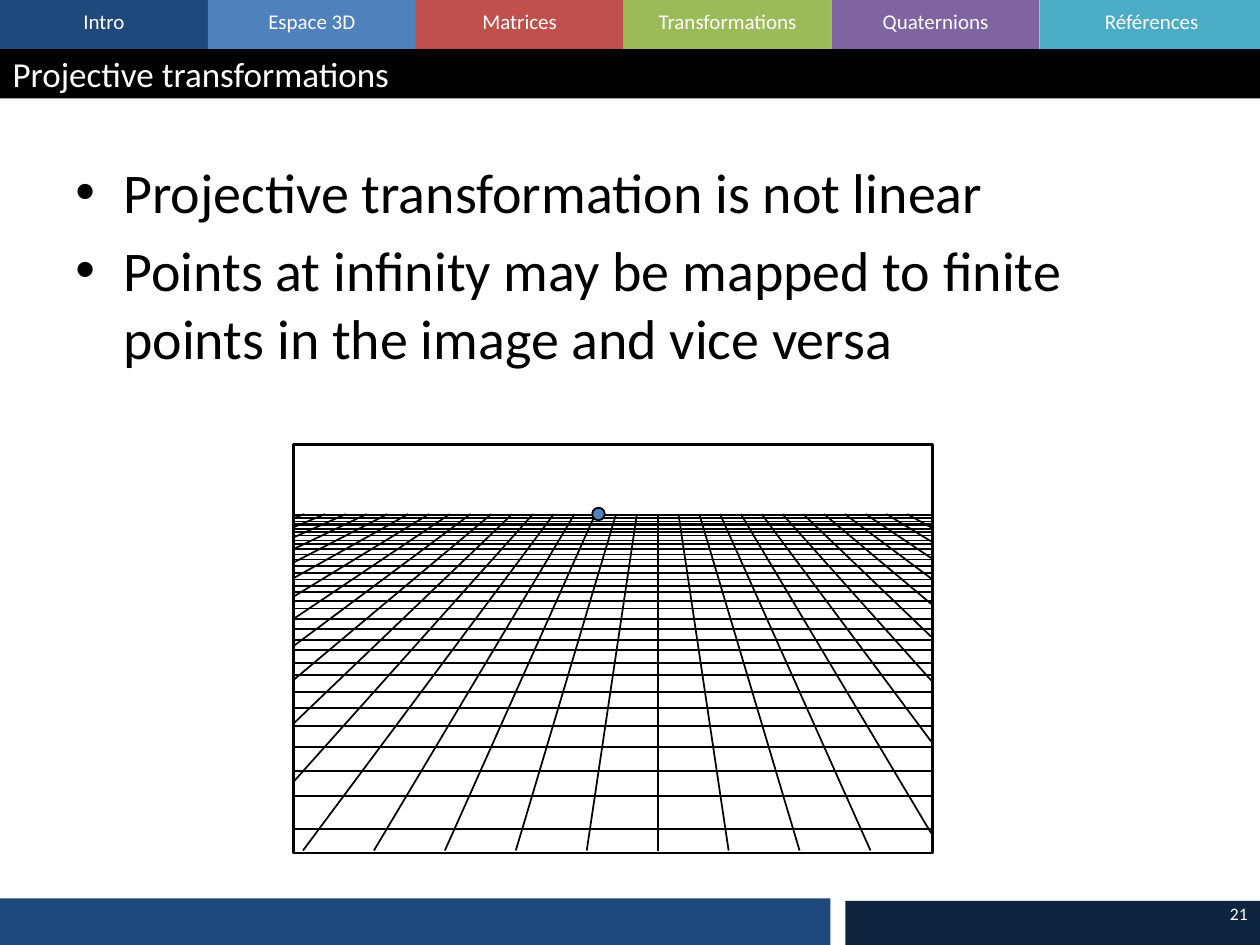
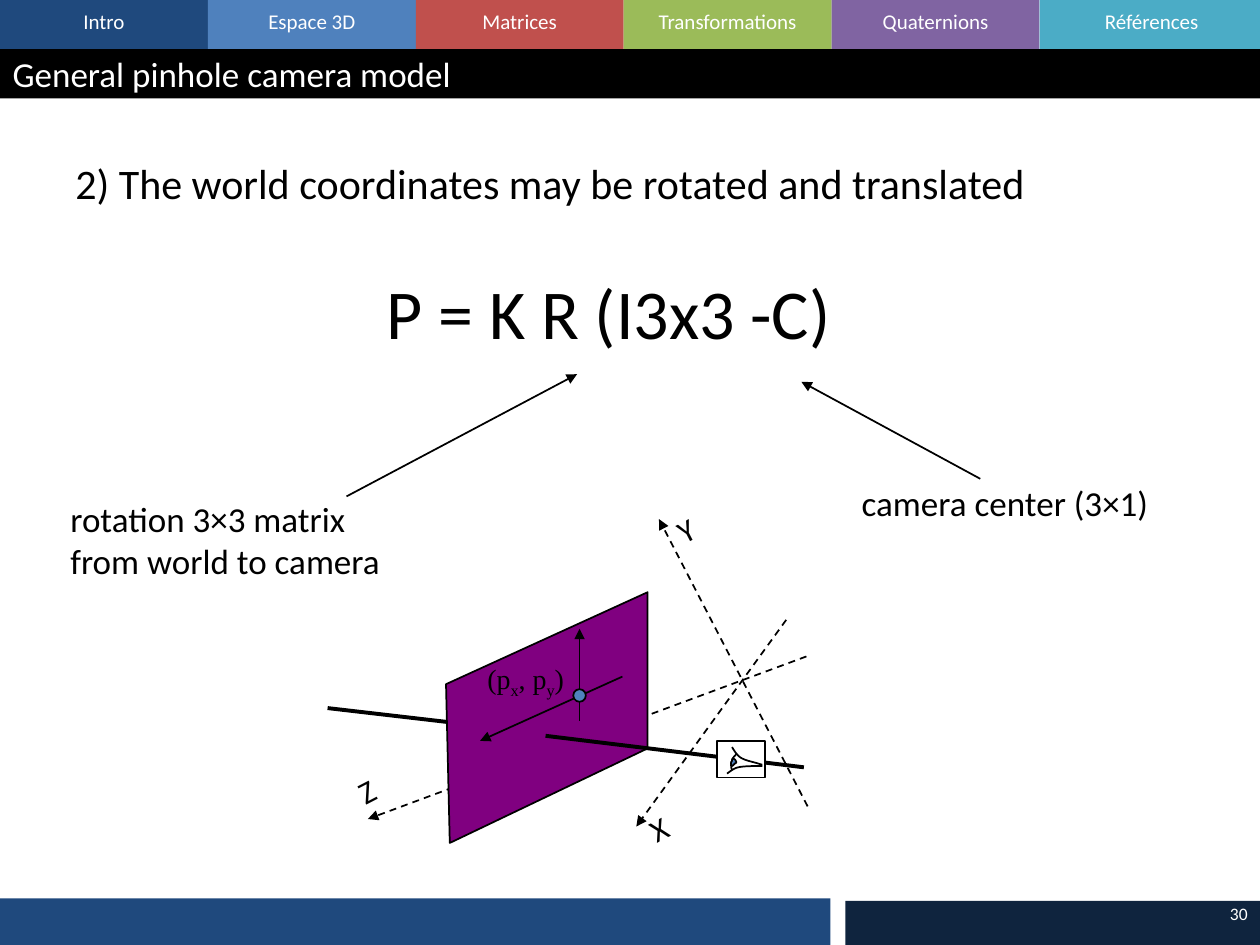
from dataclasses import dataclass
from lxml import etree
from pptx import Presentation
from pptx import util as u
from pptx.dml import color
from pptx.enum import dml, shapes, text
from pptx.oxml import ns


@dataclass(frozen=True)
class Theme:
    navy: str = "1F497D"
    blue: str = "4F81BD"
    red: str = "C0504D"
    green: str = "9BBB59"
    violet: str = "8064A2"
    teal: str = "4BACC6"
    deep: str = "0F243E"
    plum: str = "800080"
    black: str = "000000"
    white: str = "FFFFFF"
    sans: str = "Calibri"
    serif: str = "Times New Roman"
    tiny: int = 10
    tab: int = 12
    small: int = 16
    axis: int = 18
    label: int = 20
    body: int = 24
    large: int = 32
    math: int = 40
    thin: float = 1
    frame: float = 1.5
    thick: float = 2.25


def rgb(code):
    return color.RGBColor.from_string(code)


def box(*sides):
    return [u.Inches(side) for side in sides]


def add(parent, tag, **attrs):
    return etree.SubElement(parent, ns.qn(tag), attrs)


def curve(start, *parts, steps=8):
    points = [start]
    for a, b, end in parts:
        start = points[-1]
        for step in range(1, steps + 1):
            t = step / steps
            s = 1 - t
            points.append(tuple(
                s**3 * p + 3 * s * s * t * q + 3 * s * t * t * r + t**3 * e
                for p, q, r, e in zip(start, a, b, end)))
    return points


class Deck:
    def __init__(self, theme):
        self.theme = theme
        self.show = Presentation()
        self.show.slide_width, self.show.slide_height = box(10, 7.5)
        self.slide = None

    def page(self, title, number):
        th = self.theme
        self.slide = self.show.slides.add_slide(self.show.slide_layouts[5])
        tabs = (("Intro", th.navy), ("Espace 3D", th.blue), ("Matrices", th.red),
                ("Transformations", th.green), ("Quaternions", th.violet),
                ("Références", th.teal))
        wide = 1.65
        for i, (name, fill) in enumerate(tabs):
            span = wide if i < len(tabs) - 1 else 1.78
            self.shape((i * wide, 0, span, 0.39), fill)
            self.words((i * wide, 0.02, span, 0.3), [name], th.tab, th.white,
                       align=text.PP_ALIGN.CENTER)
        self.shape((0, 0.39, 10.04, 0.39), th.black)
        self.shape((-0.01, 7.13, 6.6, 0.38), th.navy)
        self.shape((6.71, 7.15, 3.31, 0.38), th.deep)
        self.words((7.67, 7, 2.33, 0.5), [number], th.tiny, th.white,
                   align=text.PP_ALIGN.RIGHT, anchor=text.MSO_ANCHOR.MIDDLE)
        head = self.slide.shapes.title
        head.left, head.top, head.width, head.height = box(0, 0.39, 10.02, 0.39)
        tree = head._element.getparent()
        tree.remove(head._element)
        tree.append(head._element)
        head.text_frame.text = title
        head.text_frame.vertical_anchor = text.MSO_ANCHOR.MIDDLE
        head.text_frame.auto_size = text.MSO_AUTO_SIZE.NONE
        self.style(head.text_frame, th.label, th.white, text.PP_ALIGN.LEFT)

    def style(self, frame, size, ink, align, face=None):
        for para in frame.paragraphs:
            para.alignment = align
            for run in para.runs:
                run.font.size = u.Pt(size)
                run.font.name = face or self.theme.sans
                run.font.color.rgb = rgb(ink)

    def words(self, area, lines, size, ink=None, align=text.PP_ALIGN.LEFT,
              anchor=text.MSO_ANCHOR.TOP, wrap=True, turn=0):
        item = self.slide.shapes.add_textbox(*box(*area))
        item.rotation = turn
        frame = item.text_frame
        frame.text = "\n".join(lines)
        frame.word_wrap = wrap
        frame.vertical_anchor = anchor
        if not wrap:
            frame.auto_size = text.MSO_AUTO_SIZE.SHAPE_TO_FIT_TEXT
        self.style(frame, size, ink or self.theme.black, align)
        return frame

    def label(self, area, lines, size, turn=0):
        return self.words(area, lines, size, wrap=False, turn=turn)

    def body(self, lines, size, dots=False):
        frame = self.words((0.5, 1.2, 9, 5.5), lines, size)
        for para in frame.paragraphs:
            para.space_before = u.Pt(size * 0.2)
            props = para._p.get_or_add_pPr()
            props.set("marL", str(u.Inches(0.38)))
            props.set("indent", str(u.Inches(-0.38)))
            if dots:
                add(props, "a:buFont", typeface="Arial")
                add(props, "a:buChar", char="•")

    def point(self, area, parts):
        frame = self.label(area, [""], self.theme.small)
        for part, low in parts:
            run = frame.paragraphs[0].add_run()
            run.text = part
            if low:
                run._r.get_or_add_rPr().set("baseline", "-25000")
        self.style(frame, self.theme.small, self.theme.black,
                   text.PP_ALIGN.LEFT, self.theme.serif)

    def paint(self, item, fill, width):
        item.shadow.inherit = False
        if fill:
            item.fill.solid()
            item.fill.fore_color.rgb = rgb(fill)
        else:
            item.fill.background()
        if width:
            item.line.color.rgb = rgb(self.theme.black)
            item.line.width = u.Pt(width)
        else:
            item.line.fill.background()

    def shape(self, area, fill=None, width=0, kind=shapes.MSO_SHAPE.RECTANGLE):
        self.paint(self.slide.shapes.add_shape(kind, *box(*area)), fill, width)

    def dot(self, left, top):
        self.shape((left, top, 0.1, 0.1), self.theme.blue, self.theme.thin,
                   shapes.MSO_SHAPE.OVAL)

    def free(self, points, fill=None):
        points = [box(*point) for point in points]
        form = self.slide.shapes.build_freeform(*points[0], scale=1.0)
        form.add_line_segments(points[1:], close=bool(fill))
        self.paint(form.convert_to_shape(), fill, self.theme.thin)

    def line(self, start, end, width=None, dash=False, arrow=False):
        item = self.slide.shapes.add_connector(
            shapes.MSO_CONNECTOR.STRAIGHT, *box(*start, *end))
        item.line.color.rgb = rgb(self.theme.black)
        item.line.width = u.Pt(width or self.theme.thin)
        if dash:
            item.line.dash_style = dml.MSO_LINE.DASH
        props = item._element.spPr
        if arrow:
            add(props.find(ns.qn("a:ln")), "a:tailEnd", type="triangle")
        add(props, "a:effectLst")


def plane(deck):
    left, right, top, base, mid = 2.33, 7.39, 4.08, 6.75, 5.22
    for k in range(-17, 13):
        far, near = mid + 0.165 * k, mid + 0.563 * k
        edge = min(max(near, left), right)
        share = (edge - far) / (near - far) if k else 1
        deck.line((edge, top + share * (base - top)), (far, top))
    rows = (6.58, 6.32, 6.12, 5.93, 5.76, 5.62, 5.49, 5.36, 5.26, 5.16, 5.08,
            4.99, 4.91, 4.83, 4.77, 4.7, 4.65, 4.6, 4.55, 4.49, 4.44, 4.4,
            4.36, 4.32, 4.29, 4.25, 4.22, 4.2, 4.17, 4.16, 4.14, 4.11, 4.09)
    for row in rows:
        deck.line((left, row), (right, row))
    deck.shape((left, 3.53, 5.07, 3.24), width=deck.theme.frame)
    deck.dot(4.7, 4.03)


def eye(deck):
    deck.shape((5.69, 5.88, 0.38, 0.29), deck.theme.white, deck.theme.thin)
    deck.free(curve((6.05, 6.07), ((5.99, 6.05), (5.93, 6.04), (5.89, 6.02)),
                    ((5.85, 6), (5.83, 5.96), (5.81, 5.93))))
    deck.free(curve((6.05, 6.08), ((5.98, 6.08), (5.91, 6.08), (5.86, 6.09)),
                    ((5.82, 6.1), (5.8, 6.12), (5.77, 6.14))))
    deck.free(curve((5.85, 5.98), ((5.83, 6), (5.81, 6.02), (5.81, 6.04)),
                    ((5.8, 6.06), (5.8, 6.09), (5.81, 6.11))))
    deck.free(curve((5.82, 6.02), ((5.82, 6.02), (5.84, 6.03), (5.84, 6.04)),
                    ((5.85, 6.05), (5.84, 6.06), (5.83, 6.06)),
                    ((5.83, 6.07), (5.81, 6.08), (5.81, 6.08)),
                    ((5.8, 6.07), (5.8, 6.05), (5.81, 6.04)),
                    ((5.81, 6.04), (5.81, 6.02), (5.82, 6.02))), deck.theme.blue)


def camera(deck):
    th = deck.theme
    deck.line((2.75, 3.94), (4.58, 2.97), arrow=True)
    deck.label((0.46, 3.9, 2.81, 0.77),
               ["rotation 3×3 matrix ", "from world to camera"], th.label)
    deck.line((7.78, 3.8), (6.36, 3.03), arrow=True)
    deck.label((6.74, 3.77, 2.7, 0.43), ["camera center (3×1)"], th.label)
    axes = (("X", (6.24, 4.92), (5.05, 6.56), (5.06, 6.37, 0.37, 0.4)),
            ("Y", (6.41, 6.4), (5.23, 4.12), (5.28, 3.99, 0.37, 0.4)),
            ("Z", (6.4, 5.21), (2.92, 6.5), (2.75, 6.07, 0.35, 0.4)))
    for name, start, end, area in axes:
        deck.line(start, end, dash=True, arrow=True)
        deck.label(area, [name], th.axis, turn=332.6)
    deck.free([(3.57, 6.69), (5.14, 5.94), (5.14, 4.7), (3.54, 5.43)], th.plum)
    deck.line((4.33, 5.84), (6.38, 6.09), th.thick)
    eye(deck)
    deck.line((4.6, 5.72), (4.6, 4.99), arrow=True)
    deck.line((4.94, 5.37), (3.81, 5.88), arrow=True)
    deck.dot(4.55, 5.47)
    deck.point((3.77, 5.2, 0.84, 0.37),
               [("(p", False), ("x", True), (", p", False), ("y", True), (")", False)])
    deck.line((2.6, 5.62), (3.55, 5.73), th.thick)
    deck.label((2.97, 2.09, 3.77, 0.77), ["P = K R (I3x3 -C)"], th.math)


deck = Deck(Theme())
deck.page("Projective transformations", "21")
deck.body(["Projective transformation is not linear ",
           "Points at infinity may be mapped to finite points in the image and vice versa"],
          deck.theme.large, dots=True)
plane(deck)
deck.page("General pinhole camera model", "30")
deck.body(["2) The world coordinates may be rotated and translated"], deck.theme.body)
camera(deck)
deck.show.save("out.pptx")
